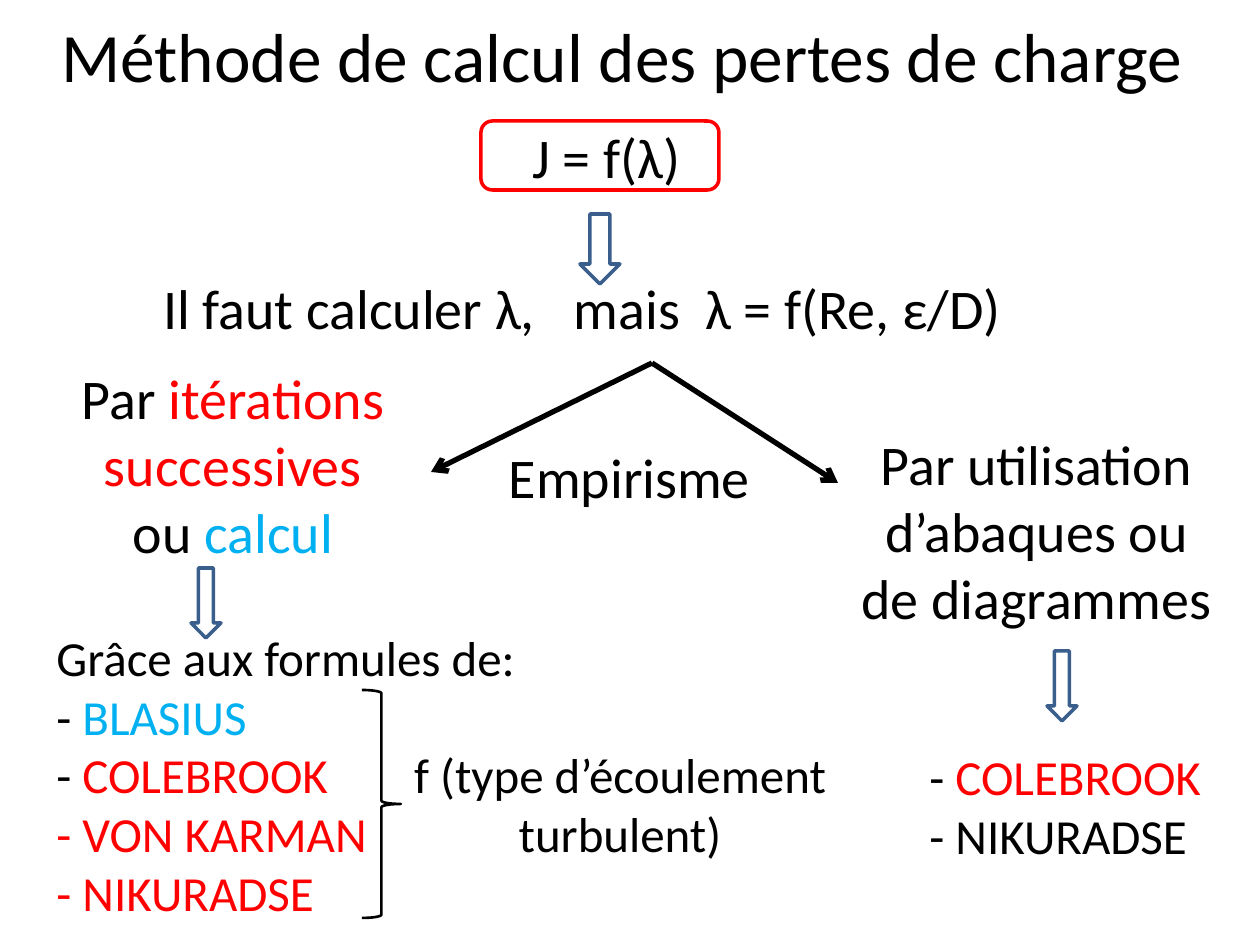
import pptx
import pptx.dml.color
import pptx.enum.shapes
import pptx.enum.text
import pptx.oxml
import pptx.oxml.ns
import pptx.util
from dataclasses import dataclass

EMU_PER_PX = 914400 / 126
SHAPES = pptx.enum.shapes.MSO_SHAPE
ALIGN = pptx.enum.text.PP_ALIGN


@dataclass(frozen=True)
class Theme:
    font: str = "Calibri"
    black: str = "000000"
    red: str = "FF0000"
    cyan: str = "00B0F0"
    arrow_blue: str = "3A5F8C"
    title: float = 39.6
    body: int = 32
    formula: int = 28


THEME = Theme()


def px(value):
    return pptx.util.Emu(round(value * EMU_PER_PX))


def box(*lengths):
    return [px(length) for length in lengths]


def color(value):
    return pptx.dml.color.RGBColor.from_string(value)


def add_runs(paragraph, runs, size, align):
    paragraph.alignment = align
    for text, run_color in runs:
        run = paragraph.add_run()
        run.text = text
        run.font.name = THEME.font
        run.font.size = pptx.util.Pt(size)
        run.font.color.rgb = color(run_color)


def add_title(slide, place, text):
    title = slide.shapes.title
    title.left, title.top, title.width, title.height = box(*place)
    frame = title.text_frame
    frame.auto_size = pptx.enum.text.MSO_AUTO_SIZE.NONE
    frame.vertical_anchor = pptx.enum.text.MSO_ANCHOR.MIDDLE
    add_runs(frame.paragraphs[0], [(text, THEME.black)], THEME.title, ALIGN.CENTER)


def add_text(slide, place, paragraphs, size=THEME.body, align=ALIGN.CENTER):
    shape = slide.shapes.add_textbox(*box(*place))
    frame = shape.text_frame
    frame.word_wrap = True
    for index, runs in enumerate(paragraphs):
        paragraph = frame.add_paragraph() if index else frame.paragraphs[0]
        add_runs(paragraph, runs, size, align)
    return frame


def add_tab_stops(paragraph, positions):
    tabs = pptx.oxml.parse_xml(f"<a:tabLst {pptx.oxml.ns.nsdecls('a')}/>")
    for position in positions:
        tab = pptx.oxml.parse_xml(
            f'<a:tab {pptx.oxml.ns.nsdecls("a")} pos="{px(position)}" algn="l"/>'
        )
        tabs.append(tab)
    paragraph._p.get_or_add_pPr().append(tabs)


def add_outline(slide, kind, place, line_color, width=2):
    shape = slide.shapes.add_shape(kind, *box(*place))
    shape.shadow.inherit = False
    shape.fill.background()
    shape.line.color.rgb = color(line_color)
    shape.line.width = pptx.util.Pt(width)


def add_arrow(slide, start, end):
    connector = slide.shapes.add_connector(
        pptx.enum.shapes.MSO_CONNECTOR.STRAIGHT, *box(*start, *end)
    )
    connector.line.color.rgb = color(THEME.black)
    connector.line.width = pptx.util.Pt(3)
    namespace = pptx.oxml.ns.nsdecls("a")
    connector.line._get_or_add_ln().append(
        pptx.oxml.parse_xml(f'<a:tailEnd {namespace} type="arrow"/>')
    )
    connector._element.spPr.append(pptx.oxml.parse_xml(f"<a:effectLst {namespace}/>"))


def main():
    presentation = pptx.Presentation()
    presentation.slide_width, presentation.slide_height = box(1260, 945)
    slide = presentation.slides.add_slide(presentation.slide_layouts[5])
    black, red, cyan = THEME.black, THEME.red, THEME.cyan

    add_title(slide, (0, -24, 1260, 158), "Méthode de calcul des pertes de charge ")

    add_text(slide, (512, 116, 189, 81), [[("J = f(λ)", black)]])
    add_outline(slide, SHAPES.ROUNDED_RECTANGLE, (481, 121, 238, 69), red)

    condition = add_text(
        slide, (144, 267, 903, 81),
        [[("Il faut calculer λ,\tmais\tλ = f(Re, ε/D)", black)]], align=ALIGN.LEFT,
    )
    condition.margin_left = px(19)
    add_tab_stops(condition.paragraphs[0], (411, 542))

    for end in ((431, 472), (838, 483)):
        add_arrow(slide, (652, 363), end)

    add_text(slide, (64, 357, 338, 217), [[
        ("Par ", black), ("itérations successives ", red),
        ("ou ", black), ("calcul", cyan),
    ]])
    add_text(slide, (486, 436, 287, 81), [[("Empirisme", black)]])
    add_text(slide, (848, 423, 377, 217),
             [[("Par utilisation d’abaques ou de diagrammes", black)]])

    for left, top, width in ((580, 214, 40), (191, 568, 30), (1047, 651, 30)):
        add_outline(slide, SHAPES.DOWN_ARROW, (left, top, width, 70), THEME.arrow_blue)

    add_text(slide, (44, 621, 486, 310), [
        [("Grâce aux formules de:", black)],
        [("- ", black), ("BLASIUS", cyan)],
        [("- ", black), ("COLEBROOK", red)],
        [("- VON KARMAN", red)],
        [("- NIKURADSE", red)],
    ], THEME.formula, ALIGN.LEFT)
    add_outline(slide, SHAPES.RIGHT_BRACE, (362, 690, 39, 228), black, 1.5)
    add_text(slide, (382, 738, 476, 131),
             [[("f (type d’écoulement turbulent)", black)]], THEME.formula)
    add_text(slide, (917, 740, 297, 131), [
        [("- ", black), ("COLEBROOK", red)],
        [("- NIKURADSE", black)],
    ], THEME.formula, ALIGN.LEFT)

    presentation.save("out.pptx")


if __name__ == "__main__":
    main()
